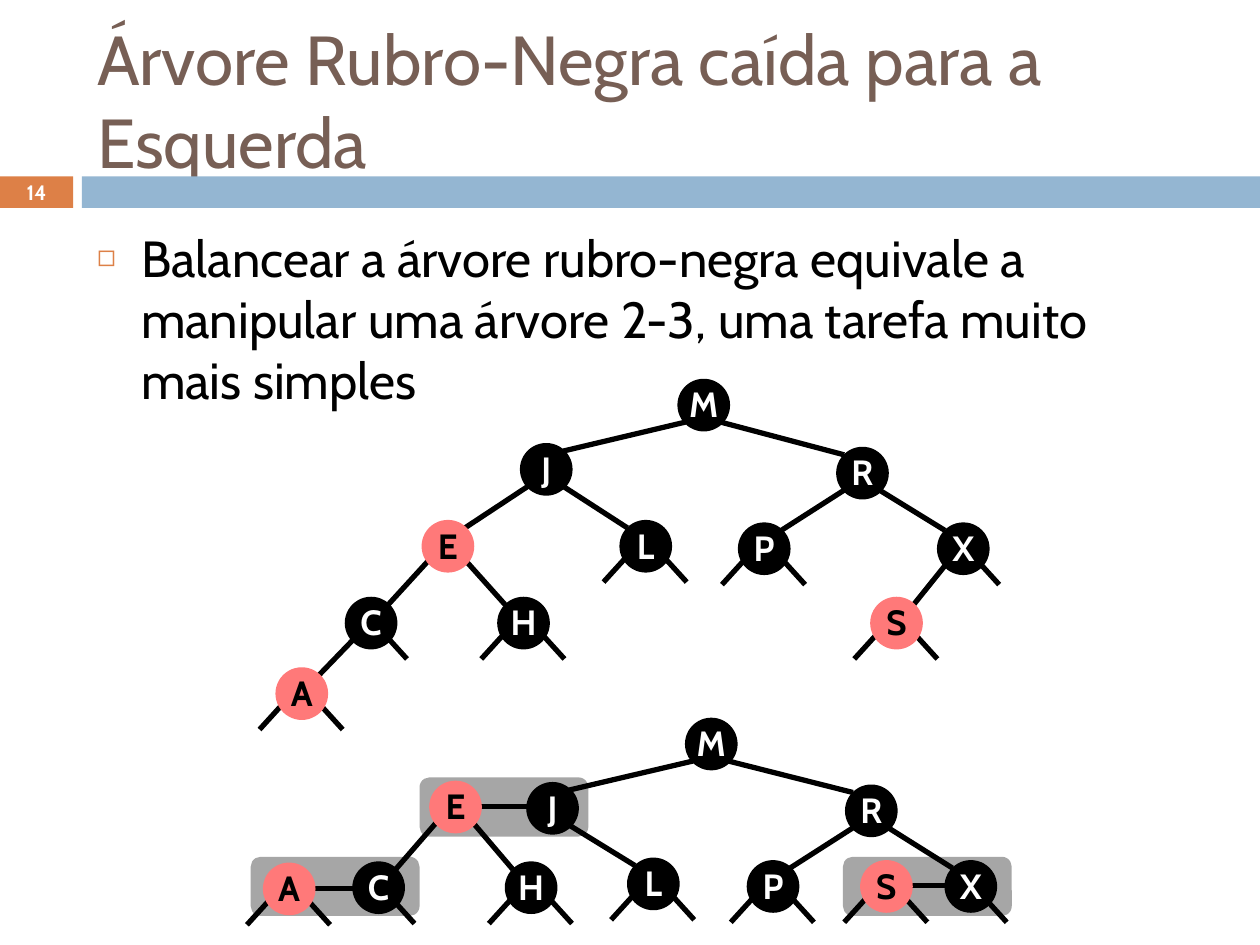
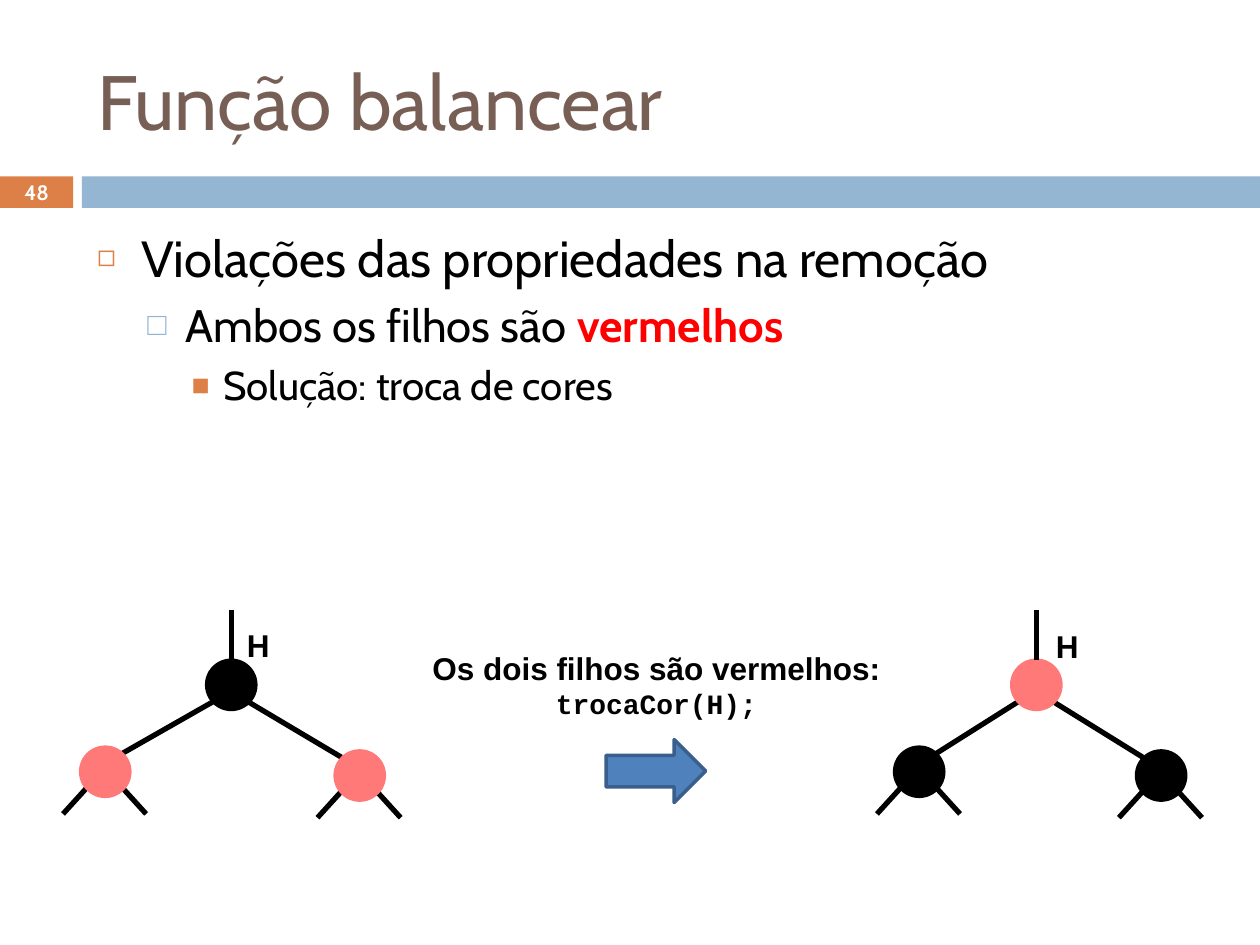
from lxml import etree
from pptx import Presentation
from pptx import util as u
from pptx.dml.color import RGBColor
from pptx.enum import shapes, text
from pptx.oxml.ns import qn

PX = 9144  # EMU in one px, 100 px to the inch

BLACK = RGBColor(0x00, 0x00, 0x00)
WHITE = RGBColor(0xFF, 0xFF, 0xFF)
ROSE = RGBColor(0xFF, 0x79, 0x79)
RED = RGBColor(0xFF, 0x00, 0x00)
GREY = RGBColor(0xA6, 0xA6, 0xA6)
BROWN = RGBColor(0x77, 0x5F, 0x55)
ORANGE = RGBColor(0xDD, 0x80, 0x47)
SKY = RGBColor(0x94, 0xB6, 0xD2)
BLUE = RGBColor(0x4F, 0x81, 0xBD)
NAVY = RGBColor(0x3A, 0x5F, 0x8C)

SHAPE = shapes.MSO_SHAPE
CENTER, LEFT = text.PP_ALIGN.CENTER, text.PP_ALIGN.LEFT
MIDDLE, TOP = text.MSO_ANCHOR.MIDDLE, text.MSO_ANCHOR.TOP

# Per list level: size, space before, indent, hanging, bullet, its colour and percent
LEVELS = [
    (29, 0, 35, 35, "◻", ORANGE, 60),
    (26, 5.5, 70, 30, "□", SKY, 70),
    (23, 5, 100, 25, "■", ORANGE, 75),
]

# Edges that run on behind the parent node
DEEP_EDGES = {"EC", "EH", "XS"}


def write(p, content, size=20, font="Cabin", color=BLACK, bold=False, align=None):
    """Add one run of text to a paragraph."""
    if align is not None:
        p.alignment = align
    r = p.add_run()
    r.text = content
    r.font.size, r.font.name, r.font.bold = u.Pt(size), font, bold
    r.font.color.rgb = color


class Deck:
    NODE = 39    # node diameter
    CORNER = 14  # offset of a node's diagonal points

    def __init__(self):
        self.prs = Presentation()
        self.prs.slide_width, self.prs.slide_height = 1000 * PX, 750 * PX
        self.s = None

    def slide(self, title, number, size):
        """Start a slide with its bands, number and title."""
        self.s = self.prs.slides.add_slide(self.prs.slide_layouts[1])
        self.shape(SHAPE.RECTANGLE, 0, 140, 58, 25, ORANGE)
        self.shape(SHAPE.RECTANGLE, 65, 140, 935, 25, SKY)
        tf = self.frame(self.s.shapes.title, 67, 25, 892, 108, MIDDLE)
        write(tf.paragraphs[0], title, size, color=BROWN, align=LEFT)
        tf = self.box(0, 139, 58, 27, MIDDLE)
        tf.margin_top = tf.margin_bottom = 0
        write(tf.paragraphs[0], number, 11.9, color=WHITE, bold=True, align=CENTER)

    def frame(self, sp, x, y, w, h, anchor):
        sp.left, sp.top, sp.width, sp.height = (v * PX for v in (x, y, w, h))
        tf = sp.text_frame
        tf.word_wrap = True
        tf.auto_size = text.MSO_AUTO_SIZE.NONE
        tf.vertical_anchor = anchor
        return tf

    def box(self, x, y, w, h, anchor=TOP):
        return self.frame(self.s.shapes.add_textbox(0, 0, 0, 0), x, y, w, h, anchor)

    def bullets(self, *items):
        """Fill the body: one item per level, each a list of (text, format) runs."""
        tf = self.frame(self.s.placeholders[1], 67, 175, 892, 492, TOP)
        for level, runs in enumerate(items):
            p = tf.add_paragraph() if level else tf.paragraphs[0]
            size, before, indent, hang, char, color, percent = LEVELS[level]
            p.level = level
            pPr = p._p.get_or_add_pPr()
            pPr.set("marL", str(indent * PX))
            pPr.set("indent", str(-hang * PX))
            clr = etree.SubElement(pPr, qn("a:buClr"))
            etree.SubElement(clr, qn("a:srgbClr"), val=str(color))
            etree.SubElement(pPr, qn("a:buSzPct"), val=str(percent * 1000))
            etree.SubElement(pPr, qn("a:buChar"), char=char)
            p.space_before = u.Pt(before)
            for content, fmt in runs:
                write(p, content, size, **fmt)

    def shape(self, kind, x, y, w, h, fill, line=None):
        sp = self.s.shapes.add_shape(kind, x * PX, y * PX, w * PX, h * PX)
        sp.shadow.inherit = False
        sp.fill.solid()
        sp.fill.fore_color.rgb = fill
        if line is None:
            sp.line.fill.background()
        else:
            sp.line.color.rgb = line
            sp.line.width = u.Pt(2)
        return sp

    def line(self, x1, y1, x2, y2):
        cx = self.s.shapes.add_connector(
            shapes.MSO_CONNECTOR.STRAIGHT, x1 * PX, y1 * PX, x2 * PX, y2 * PX)
        cx.line.color.rgb = BLACK
        cx.line.width = u.Pt(3)
        etree.SubElement(cx._element.spPr, qn("a:effectLst"))
        return cx

    def edge(self, parent, child, deep):
        (px, py), (cx, cy) = parent, child
        if abs(py - cy) < 5:  # nodes of one 3-node, joined level
            self.line(px, py, cx, py)
            return
        side = 1 if cx > px else -1
        c = self.CORNER
        dx, dy = (-6 * side, -11) if deep else (c * side, c)
        self.line(px + dx, py + dy, cx - c * side, cy - c)

    def stub(self, x, y, side, drop):
        self.line(x + 13 * side, y + drop, x + 33 * side, y + drop + 22)

    def node(self, x, y, red, label=""):
        fill = ROSE if red else BLACK
        sp = self.shape(SHAPE.OVAL, x - self.NODE // 2, y - self.NODE // 2,
                        self.NODE, self.NODE, fill, fill)
        if label:
            tf = self.box(x - 25, y - 22, 51, 44)
            write(tf.paragraphs[0], label, color=BLACK if red else WHITE,
                  bold=True, align=CENTER)
        return sp

    def tree(self, nodes, edges, open_both, open_right="", red="",
             labelled=True, drop=7):
        """Draw lines first, then nodes; returns the node shapes by name."""
        for edge in edges.split():
            self.edge(nodes[edge[0]], nodes[edge[1]], edge in DEEP_EDGES)
        for name in open_both:
            for side in (-1, 1):
                self.stub(*nodes[name], side, drop)
        for name in open_right:
            x, y = nodes[name]
            self.stub(x - 4, y, 1, drop)
        return {name: self.node(x, y, name in red, name if labelled else "")
                for name, (x, y) in nodes.items()}


def red_black_slide(deck):
    deck.slide("Árvore Rubro-Negra caída para a Esquerda", "14", 39.6)
    deck.bullets([("Balancear a árvore rubro-negra equivale a manipular "
                   "uma árvore 2-3, uma tarefa muito mais simples", {})])

    # Red-black tree
    red_black = {
        "M": (558, 321), "J": (433, 372), "R": (684, 375), "E": (355, 433),
        "L": (512, 433), "P": (606, 435), "X": (764, 435), "C": (294, 494),
        "H": (415, 494), "S": (711, 494), "A": (239, 550),
    }
    deck.tree(red_black, "MJ MR JE JL RP RX EC EH XS CA", "LPHSA", "CX", "EAS")

    # The same keys as a 2-3 tree, each 3-node on a grey plate
    for x, y in ((669, 680), (199, 680), (333, 617)):
        deck.shape(SHAPE.ROUNDED_RECTANGLE, x, y, 134, 47, GREY)
    two_three = {
        "M": (564, 590), "J": (438, 641), "R": (691, 643), "E": (361, 640),
        "L": (518, 701), "P": (613, 703), "X": (770, 703), "C": (300, 704),
        "H": (421, 704), "S": (703, 703), "A": (229, 705),
    }
    deck.tree(two_three, "MJ MR EJ JL RP RX EC EH SX AC", "LPHSA", "CX", "EAS")


def balance_slide(deck):
    deck.slide("Função balancear", "48", 44)
    deck.bullets(
        [("Violações das propriedades na remoção", {})],
        [("Ambos os filhos são ", {}), ("vermelhos", {"color": RED, "bold": True})],
        [("Solução: troca de cores", {})])

    # Before and after the colour swap: root, children, reds, label place
    for root, left, right, red, label in (
            ((183, 543), (83, 612), (285, 615), "ab", (148, 492)),
            ((822, 543), (729, 612), (921, 615), "H", (790, 493))):
        nodes = deck.tree({"H": root, "a": left, "b": right}, "Ha Hb", "ab",
                          red=red, labelled=False, drop=12)
        x, y = root
        stem = deck.line(x, y - 19, x, 484)
        stem.begin_connect(nodes["H"], 0)
        stem.end_x = stem.begin_x
        tf = deck.box(*label, 114, 40)
        write(tf.paragraphs[0], "H", 18, "Arial", bold=True, align=CENTER)

    # Operation
    deck.shape(SHAPE.RIGHT_ARROW, 481, 587, 79, 50, BLUE, NAVY)
    tf = deck.box(327, 510, 388, 67)
    write(tf.paragraphs[0], "Os dois filhos são vermelhos:", 18, "Arial",
          bold=True, align=CENTER)
    write(tf.add_paragraph(), "trocaCor(H);", 16, "Courier New",
          bold=True, align=CENTER)


def main():
    deck = Deck()
    red_black_slide(deck)
    balance_slide(deck)
    deck.prs.save("out.pptx")


if __name__ == "__main__":
    main()
